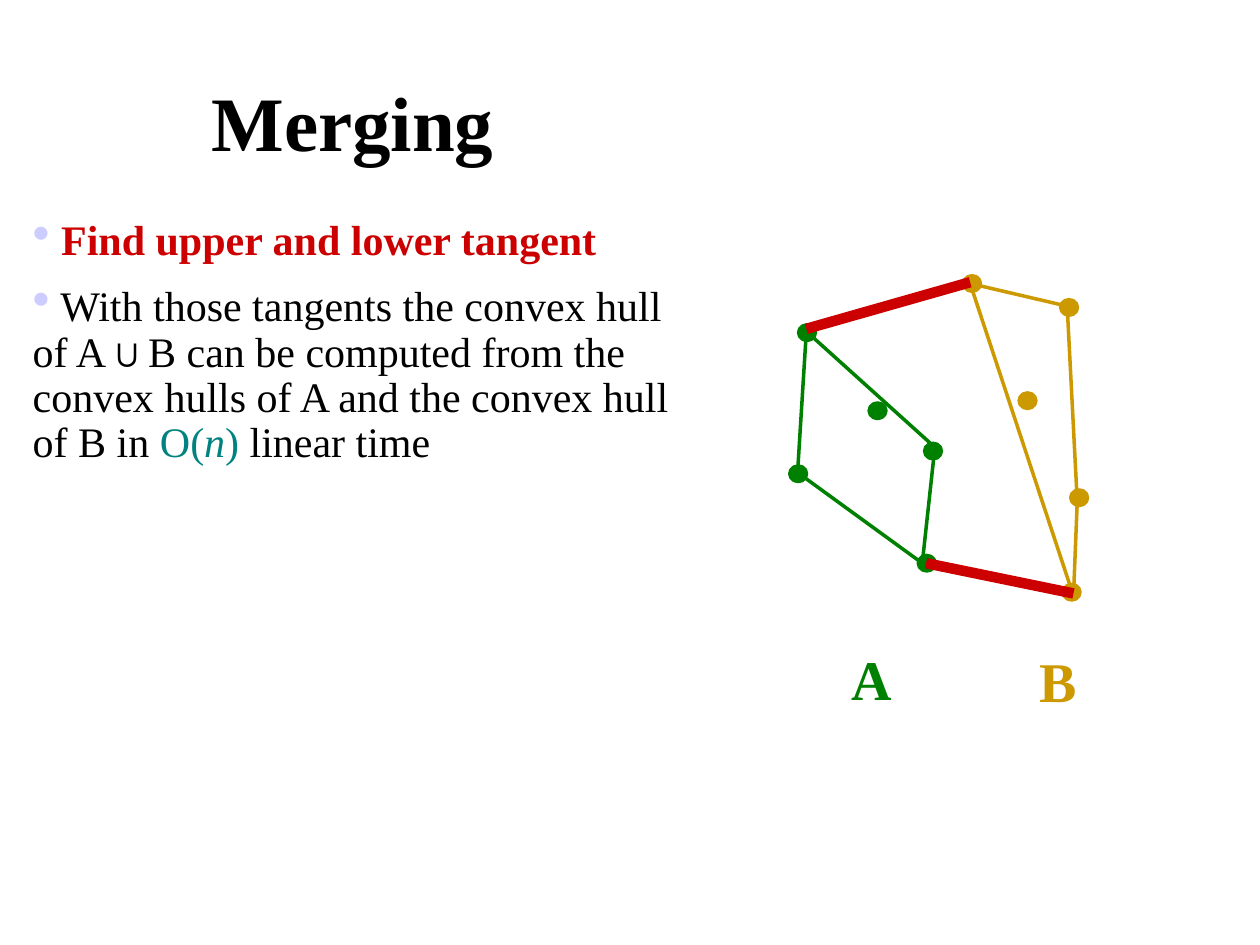
from lxml import etree
from pptx import Presentation
from pptx.dml.color import RGBColor
from pptx.enum.shapes import MSO_CONNECTOR, MSO_SHAPE
from pptx.enum.text import MSO_ANCHOR, PP_ALIGN
from pptx.oxml.ns import qn
from pptx.util import Inches, Pt

STRAIGHT = MSO_CONNECTOR.STRAIGHT
OVAL = MSO_SHAPE.OVAL
MIDDLE, TOP = MSO_ANCHOR.MIDDLE, MSO_ANCHOR.TOP
LEFT, CENTER = PP_ALIGN.LEFT, PP_ALIGN.CENTER
FONT = "Times New Roman"
COLORS = {
    "black": "000000",
    "bullet": "CCCCFF",
    "tangent": "CC0000",
    "order": "008380",
    "hull_a": "008000",
    "hull_b": "CC9900",
}
DOT_SIZE = (0.13, 0.12)
LABEL_SIZE = (0.51, 0.63)
HULLS = {
    "A": {
        "color": "hull_a",
        "dots": [(0.07, 0.39), (0, 1.51), (1.02, 2.22), (0.63, 1.01), (1.07, 1.33)],
        "corners": [(0.13, 0.44), (0.06, 1.56), (1.05, 2.28), (1.15, 1.36)],
        "label": (0.39, 2.88),
    },
    "B": {
        "color": "hull_b",
        "dots": [(1.38, 0), (1.82, 0.93), (2.15, 0.19), (2.23, 1.7), (2.17, 2.45)],
        "corners": [(1.43, 0.06), (2.25, 2.54), (2.28, 1.79), (2.2, 0.24)],
        "label": (1.87, 2.89),
    },
}
TANGENTS = [((0.13, 0.42), (1.43, 0.05)), ((1.08, 2.28), (2.25, 2.52))]
BULLETS = [
    [(" ", "black", {}), ("Find upper and lower tangent", "tangent", {"bold": True})],
    [
        (" With those tangents the convex hull of A∪B can be computed from "
         "the convex hulls of A and the convex hull of B in ", "black", {}),
        ("O(", "order", {}),
        ("n", "order", {"italic": True}),
        (")", "order", {}),
        (" linear time", "black", {}),
    ],
]


def rgb(name):
    """Return the named palette colour."""
    return RGBColor.from_string(COLORS[name])


def add_run(paragraph, text, size, color, style):
    """Append a formatted run to a paragraph."""
    run = paragraph.add_run()
    run.text = text
    run.font.color.rgb = rgb(color)
    for name, value in {"name": FONT, "size": Pt(size), **style}.items():
        setattr(run.font, name, value)


def add_text_frame(slide, box, **settings):
    """Add a wrapping text box and return its text frame."""
    frame = slide.shapes.add_textbox(*map(Inches, box)).text_frame
    for name, value in {"word_wrap": True, **settings}.items():
        setattr(frame, name, value)
    return frame


def add_heading(slide, box, text, size, color, anchor, alignment):
    """Place one bold line of text in a box."""
    frame = add_text_frame(slide, box, vertical_anchor=anchor)
    paragraph = frame.paragraphs[0]
    paragraph.alignment = alignment
    add_run(paragraph, text, size, color, {"bold": True})


def add_bullet(paragraph):
    """Give a paragraph a coloured round bullet."""
    properties = paragraph._p.get_or_add_pPr()
    properties.set("marL", "0")
    properties.set("indent", "0")
    color = etree.SubElement(properties, qn("a:buClr"))
    etree.SubElement(color, qn("a:srgbClr"), val=COLORS["bullet"])
    etree.SubElement(properties, qn("a:buSzPct"), val="120000")
    etree.SubElement(properties, qn("a:buChar"), char="•")


def add_bullet_list(slide, box, items):
    """Place the bulleted explanation in a box."""
    frame = add_text_frame(slide, box, margin_left=Inches(0.09),
                           margin_right=Inches(0.09), margin_top=0)
    for index, runs in enumerate(items):
        paragraph = frame.add_paragraph() if index else frame.paragraphs[0]
        add_bullet(paragraph)
        paragraph.line_spacing = 0.9
        if index:
            paragraph.space_before = Pt(12)
        for text, color, style in runs:
            add_run(paragraph, text, 24, color, style)


def add_dot(slide, left, top, color):
    """Draw one point of a point set."""
    shape = slide.shapes.add_shape(OVAL, *map(Inches, (left, top, *DOT_SIZE)))
    shape.shadow.inherit = False
    shape.fill.solid()
    shape.fill.fore_color.rgb = rgb(color)
    shape.line.color.rgb = rgb(color)
    shape.line.width = Pt(2.25)


def add_line(slide, start, end, color, width):
    """Draw a straight line between two positions."""
    connector = slide.shapes.add_connector(STRAIGHT, *map(Inches, (*start, *end)))
    connector.line.color.rgb = rgb(color)
    connector.line.width = Pt(width)
    etree.SubElement(connector._element.spPr, qn("a:effectLst"))


def add_hull_diagram(slide, left, top):
    """Draw both labelled hulls and the tangents that join them."""
    def place(point):
        """Move a diagram position onto the slide."""
        return left + point[0], top + point[1]

    for name, hull in HULLS.items():
        color, corners = hull["color"], hull["corners"]
        for dot in hull["dots"]:
            add_dot(slide, *place(dot), color)
        for start, end in zip(corners, corners[1:] + corners[:1]):
            add_line(slide, place(start), place(end), color, 2)
        add_heading(slide, (*place(hull["label"]), *LABEL_SIZE), name, 32,
                    color, TOP, CENTER)
    for start, end in TANGENTS:
        add_line(slide, place(start), place(end), "tangent", 6)


def main():
    """Build and save the slide."""
    presentation = Presentation()
    presentation.slide_width = Inches(10)
    presentation.slide_height = Inches(7.5)
    slide = presentation.slides.add_slide(presentation.slide_layouts[6])
    add_heading(slide, (1.58, 0.33, 8.25, 1.25), "Merging", 44, "black", MIDDLE, LEFT)
    add_bullet_list(slide, (0.17, 1.74, 5.26, 4.91), BULLETS)
    add_hull_diagram(slide, 6.27, 2.19)
    presentation.save("out.pptx")


if __name__ == "__main__":
    main()
